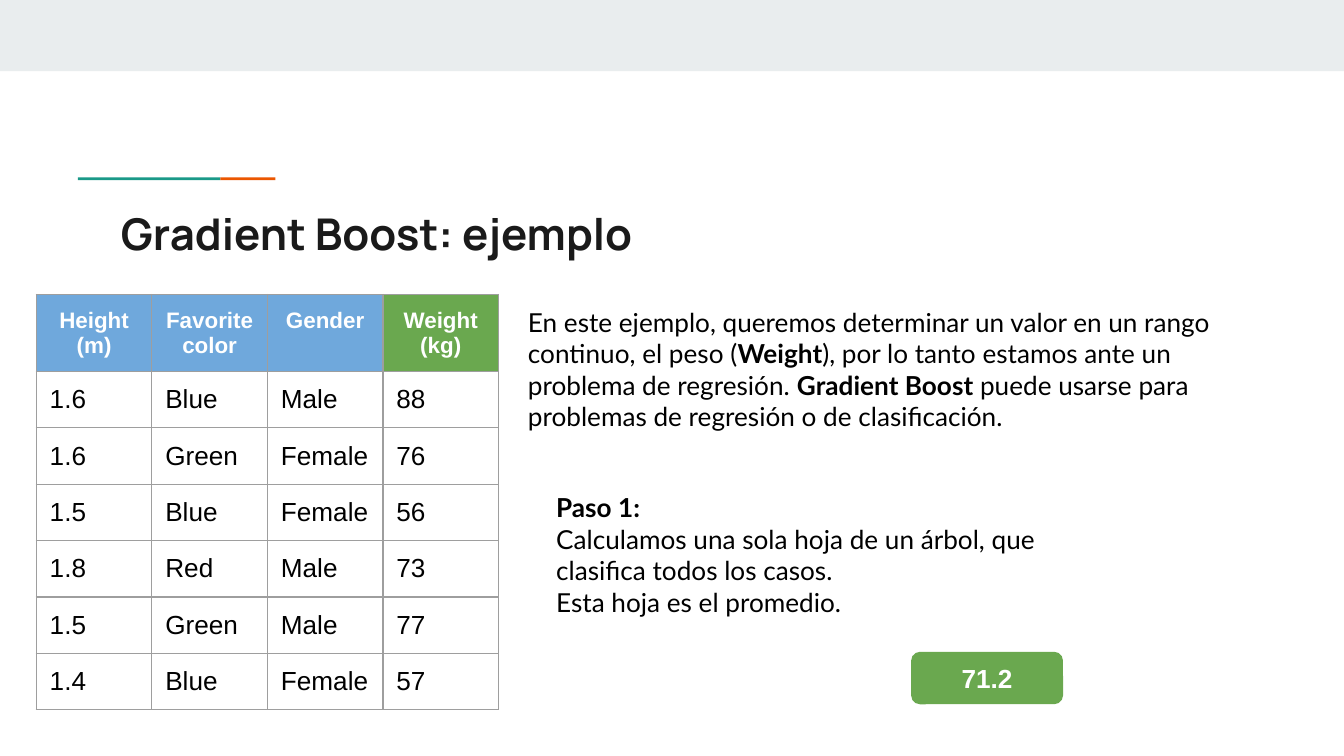
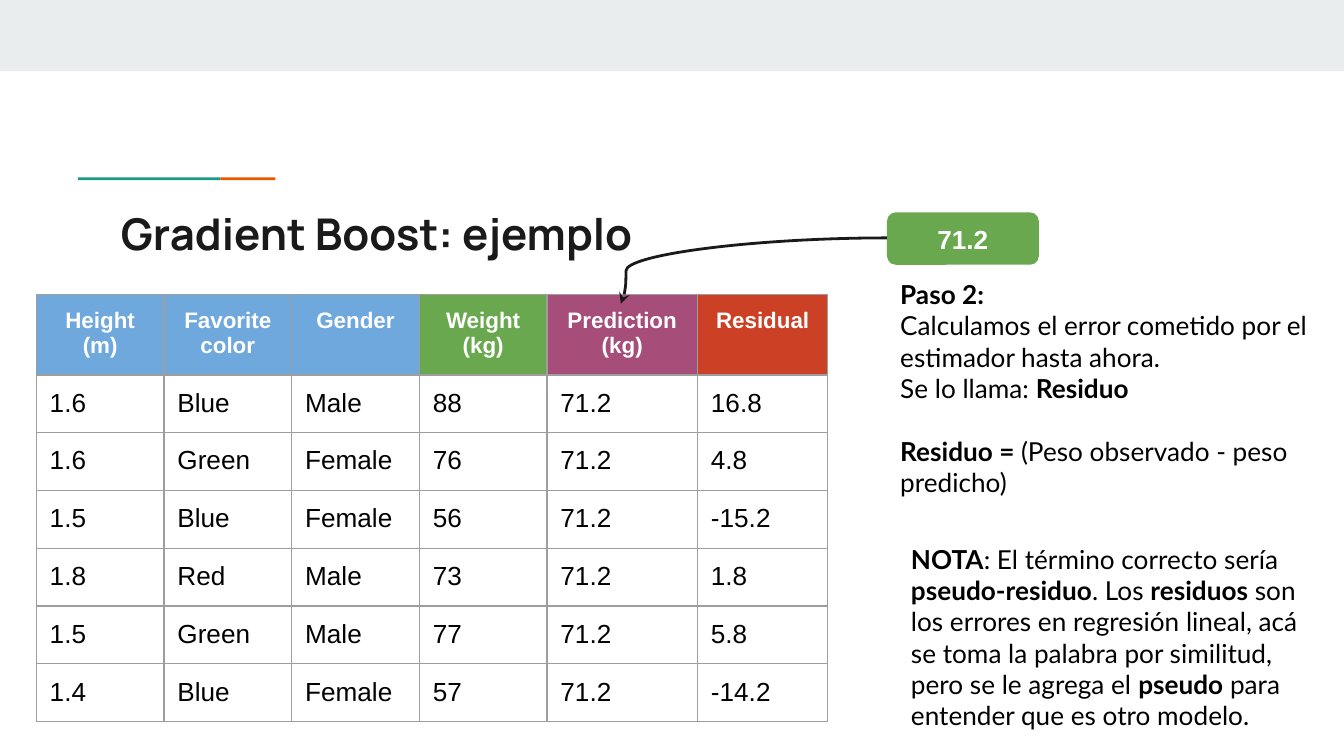
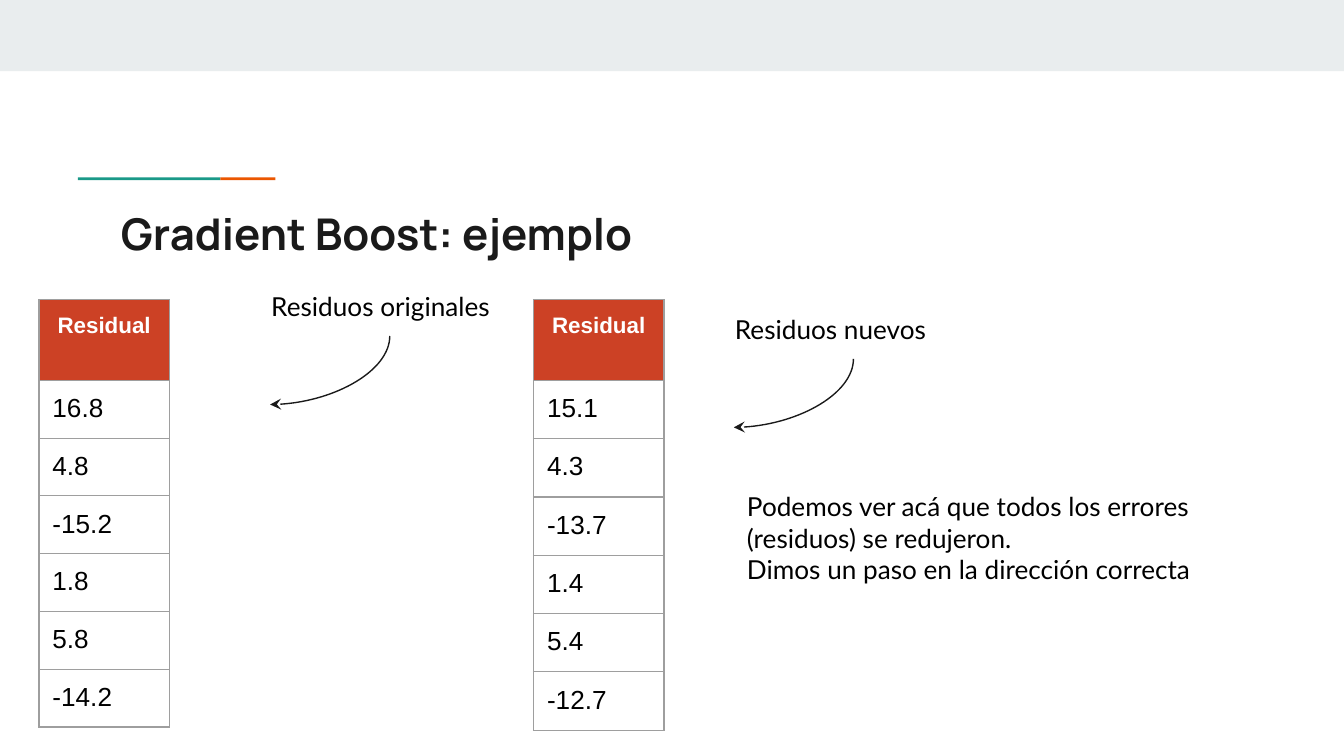
"""Build three slides that explain gradient boosting step by step."""
from lxml.etree import SubElement
from pptx import Presentation
from pptx.dml.color import RGBColor
from pptx.enum.shapes import MSO_CONNECTOR, MSO_SHAPE
from pptx.enum.text import MSO_ANCHOR, MSO_AUTO_SIZE, PP_ALIGN
from pptx.oxml.ns import qn
from pptx.util import Inches, Pt

BLUE = RGBColor(0x6F, 0xA8, 0xDC)
GREEN = RGBColor(0x6A, 0xA8, 0x4F)
PLUM = RGBColor(0xA6, 0x4D, 0x79)
RED = RGBColor(0xCC, 0x41, 0x25)
TEAL = RGBColor(0x1A, 0x99, 0x88)
ORANGE = RGBColor(0xEB, 0x56, 0x00)
MIST = RGBColor(0xE9, 0xED, 0xEE)
GREY = RGBColor(0x9E, 0x9E, 0x9E)
INK = RGBColor(0x1A, 0x1A, 0x1A)
BLACK = RGBColor(0, 0, 0)
WHITE = RGBColor(255, 255, 255)

TITLE = "Gradient Boost: ejemplo"
MEAN = "71.2"
DECOR = [
    ((0, 0, 10, 0.53), MIST),
    ((0.58, 1.32, 1.06, 0.02), TEAL),
    ((1.64, 1.32, 0.41, 0.02), ORANGE),
]
HEADS = [
    ("Height (m)", BLUE),
    ("Favorite color", BLUE),
    ("Gender", BLUE),
    ("Weight (kg)", GREEN),
]
ERROR = ("Residual", RED)
CASES = [
    ("1.6", "Blue", "Male", "88"),
    ("1.6", "Green", "Female", "76"),
    ("1.5", "Blue", "Female", "56"),
    ("1.8", "Red", "Male", "73"),
    ("1.5", "Green", "Male", "77"),
    ("1.4", "Blue", "Female", "57"),
]
OLD = ["16.8", "4.8", "-15.2", "1.8", "5.8", "-14.2"]
NEW = ["15.1", "4.3", "-13.7", "1.4", "5.4", "-12.7"]

GOAL = [
    "En este ejemplo, queremos determinar un valor en un rango continuo, "
    "el peso (*Weight*), por lo tanto estamos ante un problema de regresión. "
    "*Gradient Boost* puede usarse para problemas de regresión o de clasificación."
]
STEP_ONE = [
    "*Paso 1:*",
    "Calculamos una sola hoja de un árbol, que clasifica todos los casos.",
    "Esta hoja es el promedio.",
]
STEP_TWO = [
    "*Paso 2:*",
    "Calculamos el error cometido por el estimador hasta ahora.",
    "Se lo llama: *Residuo*",
    "*Residuo = *(Peso observado - peso predicho)",
]
REMARK = [
    "*NOTA*: El término correcto sería *pseudo-residuo*. Los *residuos* son los "
    "errores en regresión lineal, acá se toma la palabra por similitud, pero se "
    "le agrega el *pseudo* para entender que es otro modelo."
]
RESULT = [
    "Podemos ver acá que todos los errores (residuos) se redujeron.",
    "Dimos un paso en la dirección correcta",
]
PAIR = [
    (0.29, OLD, "Residuos originales", 1.92, 2.06),
    (3.97, NEW, "Residuos nuevos", 5.37, 2.23),
]

HEAD = dict(name="Arial", size=Pt(12), bold=True)
CELL = dict(name="Arial", size=Pt(14), bold=False)
LEAF = dict(name="Arial", size=Pt(14), bold=True)
NOTE = dict(name="Lato", size=Pt(14))
TOP = dict(name="Manrope", size=Pt(23.4), bold=True)
SIDES = ("left", "right", "top", "bottom")
PAD = {f"margin_{side}": Inches(0.1) for side in SIDES}
FRAME = dict(PAD, word_wrap=True)
WIDE = Inches(10)
PAGE = dict(slide_width=WIDE, slide_height=WIDE * 9 // 16)


def apply(item, values):
    """Set each attribute named in values."""
    for name, value in values.items():
        setattr(item, name, value)


def style(font, values, color):
    """Format a font and colour it."""
    apply(font, values)
    font.color.rgb = color


def scale(box):
    """Turn a tuple of inches into lengths."""
    return [Inches(size) for size in box]


def block(slide, kind, box, color):
    """Add a plain filled shape."""
    shape = slide.shapes.add_shape(kind, *scale(box))
    shape.shadow.inherit = False
    shape.fill.solid()
    shape.fill.fore_color.rgb = color
    shape.line.fill.background()
    return shape


def dress(slide):
    """Move the band and the rule into the layout of the slide."""
    tree = slide.slide_layout.shapes._spTree
    for spot, (box, color) in enumerate(DECOR, 2):
        tree.insert(spot, block(slide, MSO_SHAPE.RECTANGLE, box, color)._element)


def start(deck):
    """Add a slide with its title."""
    slide = deck.slides.add_slide(deck.slide_layouts[5])
    title = slide.shapes.title
    apply(title, dict(zip(("left", "top", "width", "height"),
                          scale((0.8, 1.44, 8.41, 0.59)))))
    title.text = TITLE
    apply(title.text_frame, dict(FRAME, vertical_anchor=MSO_ANCHOR.TOP,
                                 auto_size=MSO_AUTO_SIZE.NONE))
    para = title.text_frame.paragraphs[0]
    para.alignment = PP_ALIGN.LEFT
    style(para.runs[0].font, TOP, INK)
    return slide


def note(slide, box, lines, gaps=()):
    """Add text with starred parts in bold and a gap before chosen lines."""
    frame = slide.shapes.add_textbox(*scale(box)).text_frame
    apply(frame, dict(FRAME, auto_size=MSO_AUTO_SIZE.SHAPE_TO_FIT_TEXT))
    for row, line in enumerate(lines):
        para = frame.add_paragraph() if row else frame.paragraphs[0]
        if row in gaps:
            para.space_before = Pt(16.8)
        for part, text in enumerate(line.split("*")):
            if text:
                run = para.add_run()
                run.text = text
                style(run.font, dict(NOTE, bold=part % 2 == 1), BLACK)


def leaf(slide, left, top):
    """Add the leaf that holds the mean."""
    shape = block(slide, MSO_SHAPE.ROUNDED_RECTANGLE, (left, top, 1.13, 0.39), GREEN)
    shape.text_frame.text = MEAN
    apply(shape.text_frame, dict(FRAME, vertical_anchor=MSO_ANCHOR.MIDDLE))
    para = shape.text_frame.paragraphs[0]
    para.alignment = PP_ALIGN.CENTER
    style(para.runs[0].font, LEAF, WHITE)


def edge(cell):
    """Draw the four borders of a cell."""
    props = cell._tc.get_or_add_tcPr()
    for side in "LRTB":
        line = SubElement(props, qn(f"a:ln{side}"), w=str(Pt(0.75)))
        SubElement(SubElement(line, qn("a:solidFill")), qn("a:srgbClr"), val=str(GREY))


def grid(slide, spot, heads, rows, wide, tall):
    """Add a table with coloured heads, column widths and row heights."""
    size = (sum(wide), sum(tall))
    table = slide.shapes.add_table(len(tall), len(wide), *scale(spot + size)).table
    apply(table, dict(first_row=False, horz_banding=False))
    for col, width in zip(table.columns, wide):
        col.width = Inches(width)
    for row, height in zip(table.rows, tall):
        row.height = Inches(height)
    for y, texts in enumerate([[name for name, _ in heads], *rows]):
        for x, text in enumerate(texts):
            cell = table.cell(y, x)
            cell.text = text
            apply(cell, PAD)
            edge(cell)
            if y:
                cell.fill.background()
            else:
                cell.fill.solid()
                cell.fill.fore_color.rgb = heads[x][1]
            for para in cell.text_frame.paragraphs:
                para.alignment = PP_ALIGN.LEFT if y else PP_ALIGN.CENTER
                style(para.runs[0].font, CELL if y else HEAD, BLACK if y else WHITE)


def curve(slide, ends, preset, weight, turn=0, bend=None):
    """Add a curved arrow."""
    link = slide.shapes.add_connector(MSO_CONNECTOR.CURVE, *scale(ends))
    link.line.color.rgb = INK
    link.line.width = Pt(weight)
    props = link._element.spPr
    SubElement(props.find(qn("a:ln")), qn("a:tailEnd"), type="stealth")
    SubElement(props, qn("a:effectLst"))
    shape = props.find(qn("a:prstGeom"))
    shape.set("prst", preset)
    if bend:
        SubElement(shape.find(qn("a:avLst")), qn("a:gd"), name="adj1", fmla=f"val {bend}")
    if turn:
        props.find(qn("a:xfrm")).set("rot", str(turn * 60000))


def main():
    """Build and save the deck."""
    deck = Presentation()
    apply(deck, PAGE)
    tall = [0.6] + [0.43] * 6

    slide = start(deck)
    dress(slide)
    grid(slide, (0.27, 2.19), HEADS, CASES, [0.86] * 4, [0.42] * 7)
    note(slide, (3.83, 2.18, 5.83, 1.14), GOAL)
    note(slide, (4.04, 3.56, 4.44, 1.14), STEP_ONE)
    leaf(slide, 6.78, 4.85)

    slide = start(deck)
    heads = [*HEADS, ("Prediction\n(kg)", PLUM), ERROR]
    rows = [(*case, MEAN, error) for case, error in zip(CASES, OLD)]
    grid(slide, (0.27, 2.19), heads, rows, [0.95] * 4 + [1.12, 0.97], tall)
    note(slide, (6.6, 1.97, 3.33, 1.85), STEP_TWO, gaps=(3,))
    leaf(slide, 6.6, 1.58)
    curve(slide, (6.6, 1.77, 4.62, 2.26), "curvedConnector3", 1.5, bend=98100)
    note(slide, (6.68, 3.94, 3.23, 1.62), REMARK)

    slide = start(deck)
    for left, errors, label, x, y in PAIR:
        grid(slide, (left, 2.23), [ERROR], [[error] for error in errors], [0.97], tall)
        note(slide, (x, y, 1.97, 0.44), [label])
        curve(slide, (x + 0.28, y + 0.25, x + 0.79, y + 1.14),
              "curvedConnector2", 0.75, turn=90)
    note(slide, (5.46, 3.55, 3.57, 0.91), RESULT)

    deck.save("out.pptx")


if __name__ == "__main__":
    main()
